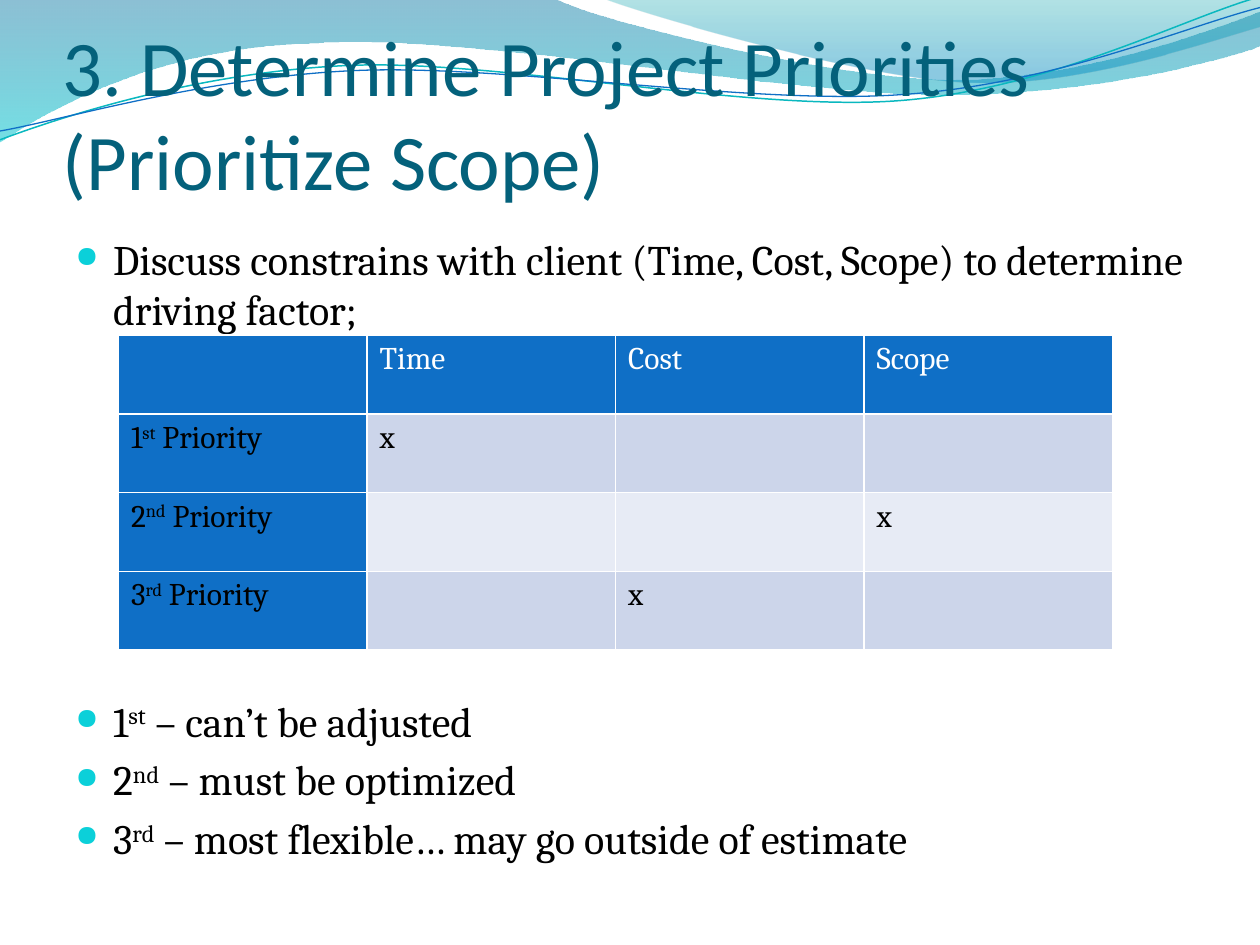
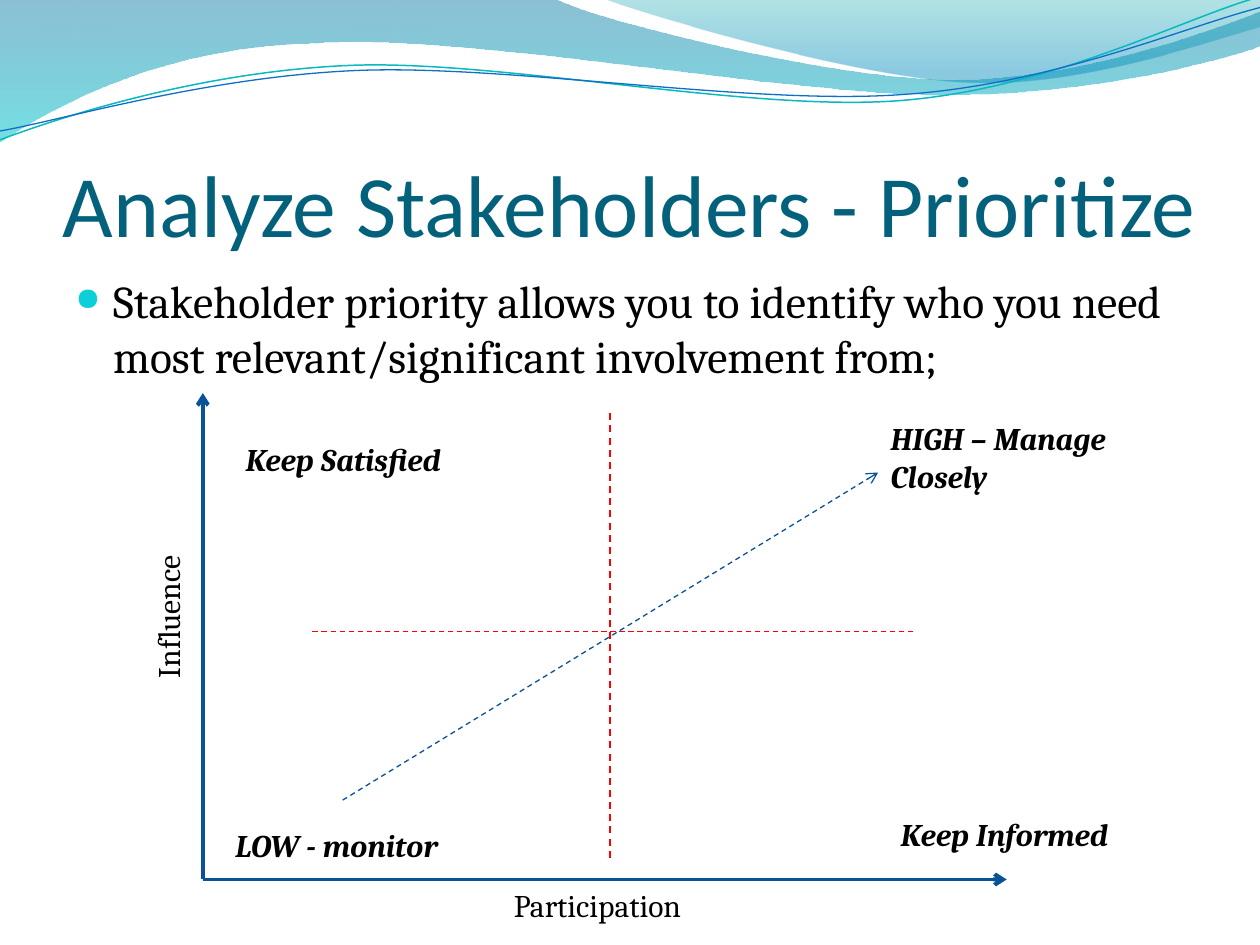
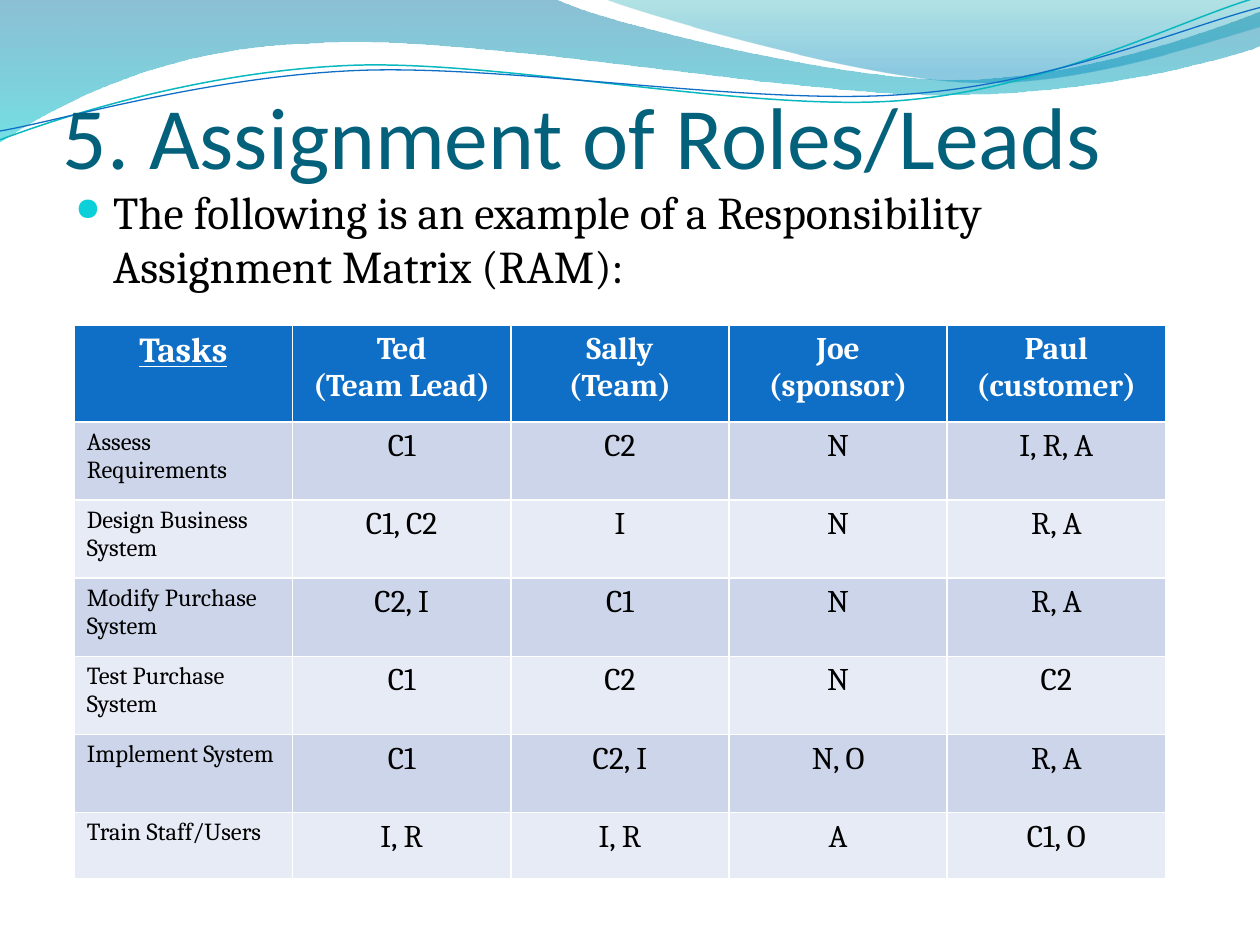
from dataclasses import dataclass
from typing import Any, NamedTuple

from lxml import etree
from pptx import Presentation
from pptx.dml.color import RGBColor
from pptx.enum.dml import MSO_LINE
from pptx.enum.shapes import MSO_CONNECTOR
from pptx.enum.text import MSO_ANCHOR, MSO_AUTO_SIZE, PP_ALIGN
from pptx.oxml.ns import qn
from pptx.util import Inches, Pt

STRAIGHT = MSO_CONNECTOR.STRAIGHT
DASH = MSO_LINE.DASH
BOTTOM = MSO_ANCHOR.BOTTOM
GROW = MSO_AUTO_SIZE.SHAPE_TO_FIT_TEXT
LEFT, CENTER = PP_ALIGN.LEFT, PP_ALIGN.CENTER
BLANK_LAYOUT = 6


# Theme
@dataclass(frozen=True)
class Theme:
    heading_font: str = "Calibri"
    body_font: str = "Cambria"
    title: str = "04617B"
    text: str = "000000"
    white: str = "FFFFFF"
    bullet: str = "0BD0D9"
    header: str = "0F6FC6"
    bands: tuple[str, str] = ("CCD5EA", "E7EBF5")
    axis: str = "095295"
    divider: str = "FF0000"
    teal_line: str = "0AB8BF"
    title_size: float = 50
    long_title_size: float = 45
    body_size: float = 26
    small_body_size: float = 24
    label_size: float = 18
    task_heading_size: float = 20
    task_size: float = 14
    bullet_percent: int = 70
    border_width: float = 1


THEME = Theme()


# Element descriptions
class Box(NamedTuple):
    left: float
    top: float
    width: float
    height: float


class Stop(NamedTuple):
    position: float
    color: str
    opacity: int


class Wave(NamedTuple):
    start: tuple[float, float]
    segments: list[tuple[float, ...]]  # two numbers: line, six: Bézier curve
    stops: tuple[Stop, ...] = ()
    line_color: str = ""
    line_width: float = 0


class Bullet(NamedTuple):
    text: str
    space_before: float = 0


class Label(NamedTuple):
    text: str
    box: Box
    emphasis: bool = False
    rotation: float = 0


class Line(NamedTuple):
    start: tuple[float, float]
    end: tuple[float, float]
    color: str
    width: float = 0.75
    dashed: bool = True
    arrow: bool = False


class CellStyle(NamedTuple):
    fill: str
    color: str = THEME.text
    size: float = THEME.label_size
    align: Any = LEFT
    bold: bool = False
    underline: bool = False


WAVES = [
    Wave((0, 0), [
        (4.4, -0.01),
        (4.76, 0.17, 6.64, 0.63, 7.58, 0.63),
        (8.53, 0.63, 9.58, 0.26, 10, 0.09),
        (10.01, 0.36),
        (9.83, 0.44, 8.7, 0.76, 7.46, 0.75),
        (6.22, 0.75, 3.82, 0.28, 2.57, 0.34),
        (1.29, 0.36, 0.46, 0.83, -0.01, 1.13),
        (0, 0),
    ], stops=(Stop(0, "0074A1", 45), Stop(1, "00C6CF", 55))),
    Wave((4.79, -0.01), [
        (5.09, 0.11, 6.82, 0.62, 7.69, 0.65),
        (8.56, 0.69, 9.61, 0.32, 10, 0.21),
        (10, 0),
        (4.79, -0.01),
    ], stops=(Stop(0, "00A1A9", 30), Stop(0.8, "008BBF", 45))),
    Wave((0, 1.11), [
        (0.48, 0.93, 1.58, 0.57, 2.77, 0.52),
        (3.95, 0.47, 5.93, 0.89, 7.13, 0.8),
        (8.33, 0.71, 9.38, 0.15, 9.98, -0.02),
    ], line_color=THEME.teal_line, line_width=0.85),
    Wave((0, 1.04), [
        (0.47, 0.96, 1.64, 0.61, 2.83, 0.56),
        (4.03, 0.51, 5.97, 0.84, 7.17, 0.75),
        (8.36, 0.67, 9.41, 0.21, 10, 0.06),
    ], line_color=THEME.header, line_width=0.75),
]


# Helpers
def set_values(target: Any, values: dict[str, Any]) -> None:
    for name, value in values.items():
        setattr(target, name, value)


def add_xml(parent: Any, tag: str, **attributes: str) -> Any:
    return etree.SubElement(parent, qn(tag), attributes)


def write(paragraph: Any, text: str, color: str, **font: Any) -> None:
    """Write text in which each part between a pair of bars is raised."""
    for index, part in enumerate(text.split("|")):
        run = paragraph.add_run()
        run.text = part
        set_values(run.font, font)
        run.font.color.rgb = RGBColor.from_string(color)
        if index % 2:
            run._r.get_or_add_rPr().set("baseline", "30000")


def add_text_box(slide: Any, box: Box, **frame_values: Any) -> Any:
    shape = slide.shapes.add_textbox(*map(Inches, box))
    set_values(shape.text_frame, {"word_wrap": True, **frame_values})
    return shape


def bend(shape: Any, segments: list[tuple[float, ...]]) -> None:
    """Turn each run of three line steps that stands for a curve into one Bézier step."""
    steps = iter(list(shape.element.iter(qn("a:lnTo"))))
    for segment in segments:
        first, *others = [next(steps) for _ in segment[::2]]
        if not others:
            continue
        curve = etree.Element(qn("a:cubicBezTo"))
        first.addprevious(curve)
        for step in (first, *others):
            curve.append(step[0])
            step.getparent().remove(step)


# Shared slide parts
def add_wave(slide: Any, wave: Wave) -> None:
    points = [
        (Inches(x), Inches(y))
        for segment in (wave.start, *wave.segments)
        for x, y in zip(segment[::2], segment[1::2])
    ]
    builder = slide.shapes.build_freeform(*points[0])
    builder.add_line_segments(points[1:], close=bool(wave.stops))
    shape = builder.convert_to_shape()
    bend(shape, wave.segments)
    shape.shadow.inherit = False
    if not wave.stops:
        shape.fill.background()
        shape.line.color.rgb = RGBColor.from_string(wave.line_color)
        shape.line.width = Pt(wave.line_width)
        return
    shape.line.fill.background()
    shape.fill.gradient()
    shape.fill.gradient_angle = 270
    for gradient_stop, stop in zip(shape.fill.gradient_stops, wave.stops):
        gradient_stop.position = stop.position
        gradient_stop.color.rgb = RGBColor.from_string(stop.color)
    for color, stop in zip(shape.element.iter(qn("a:srgbClr")), wave.stops):
        add_xml(color, "a:alpha", val=str(stop.opacity * 1000))


def add_title(slide: Any, text: str, box: Box, size: float = THEME.title_size) -> None:
    shape = add_text_box(slide, box, vertical_anchor=BOTTOM, margin_left=0,
                         margin_right=0, margin_bottom=0)
    write(shape.text_frame.paragraphs[0], text, THEME.title,
          name=THEME.heading_font, size=Pt(size))


def add_bullets(slide: Any, bullets: list[Bullet], box: Box,
                size: float = THEME.body_size) -> None:
    frame = add_text_box(slide, box).text_frame
    for index, bullet in enumerate(bullets):
        paragraph = frame.add_paragraph() if index else frame.paragraphs[0]
        properties = paragraph._p.get_or_add_pPr()
        properties.set("marL", str(Inches(0.3)))
        properties.set("indent", str(Inches(-0.3)))
        add_xml(add_xml(properties, "a:buClr"), "a:srgbClr", val=THEME.bullet)
        add_xml(properties, "a:buSzPct", val=str(THEME.bullet_percent * 1000))
        add_xml(properties, "a:buChar", char="●")
        paragraph.space_before = Pt(bullet.space_before)
        write(paragraph, bullet.text, THEME.text, name=THEME.body_font, size=Pt(size))


def add_slide(presentation: Any) -> Any:
    slide = presentation.slides.add_slide(presentation.slide_layouts[BLANK_LAYOUT])
    for wave in WAVES:
        add_wave(slide, wave)
    return slide


# Tables
def set_borders(cell: Any) -> None:
    properties = cell._tc.get_or_add_tcPr()
    for index, side in enumerate("LRTB"):
        border = etree.Element(qn(f"a:ln{side}"), w=str(Pt(THEME.border_width)))
        add_xml(add_xml(border, "a:solidFill"), "a:srgbClr", val=THEME.white)
        properties.insert(index, border)


def fill_cell(cell: Any, text: str, style: CellStyle) -> None:
    cell.fill.solid()
    cell.fill.fore_color.rgb = RGBColor.from_string(style.fill)
    if not text:
        return
    frame = cell.text_frame
    for index, line in enumerate(text.split("\n")):
        paragraph = frame.add_paragraph() if index else frame.paragraphs[0]
        paragraph.alignment = style.align
        write(paragraph, line, style.color, name=THEME.body_font, size=Pt(style.size),
              bold=style.bold, underline=style.underline)


def priority_style(row: int, column: int) -> CellStyle:
    if row == 0:
        return CellStyle(THEME.header, THEME.white)
    return CellStyle(THEME.bands[(row - 1) % 2] if column else THEME.header)


def role_style(row: int, column: int) -> CellStyle:
    if row == 0:
        size = THEME.label_size if column else THEME.task_heading_size
        return CellStyle(THEME.header, THEME.white, size, CENTER, True, column == 0)
    band = THEME.bands[(row - 1) % 2]
    return CellStyle(band, align=CENTER) if column else CellStyle(band, size=THEME.task_size)


def add_grid(slide: Any, rows: list[tuple[str, ...]], box: Box,
             heights: list[float], style_for: Any) -> None:
    column_count = len(rows[0])
    frame = slide.shapes.add_table(len(rows), column_count, *map(Inches, box))
    table = frame.table
    for column in table.columns:
        column.width = Inches(box.width / column_count)
    for row_index, (texts, height) in enumerate(zip(rows, heights)):
        table.rows[row_index].height = Inches(height)
        for column_index, text in enumerate(texts):
            cell = table.cell(row_index, column_index)
            fill_cell(cell, text, style_for(row_index, column_index))
            set_borders(cell)


# Diagram parts
def add_line(slide: Any, line: Line) -> None:
    connector = slide.shapes.add_connector(
        STRAIGHT, *map(Inches, (*line.start, *line.end)))
    connector.line.color.rgb = RGBColor.from_string(line.color)
    connector.line.width = Pt(line.width)
    if line.dashed:
        connector.line.dash_style = DASH
    properties = connector.element.find(qn("p:spPr"))
    if line.arrow:
        add_xml(properties.find(qn("a:ln")), "a:tailEnd", type="arrow")
    add_xml(properties, "a:effectLst")


def add_label(slide: Any, label: Label) -> None:
    shape = add_text_box(slide, label.box, auto_size=GROW)
    shape.rotation = label.rotation
    write(shape.text_frame.paragraphs[0], label.text, THEME.text, name=THEME.body_font,
          size=Pt(THEME.label_size), bold=label.emphasis, italic=label.emphasis)


# Slides
def build_priorities(presentation: Any) -> None:
    slide = add_slide(presentation)
    add_title(slide, "3. Determine Project Priorities (Prioritize Scope)",
              Box(0.5, 0.39, 9, 1.25), THEME.long_title_size)
    add_bullets(slide, [
        Bullet("Discuss constrains with client (Time, Cost, Scope) to determine driving factor;"),
        Bullet("1|st| – can’t be adjusted", 206.5),
        Bullet("2|nd| – must be optimized", 4.8),
        Bullet("3|rd| – most flexible… may go outside of estimate", 4.8),
    ], Box(0.5, 1.8, 9, 5.12), THEME.small_body_size)
    rows = [
        ("", "Time", "Cost", "Scope"),
        ("1|st| Priority", "x", "", ""),
        ("2|nd| Priority", "", "", "x"),
        ("3|rd| Priority", "", "x", ""),
    ]
    box = Box(0.94, 2.66, 7.89, 2.5)
    add_grid(slide, rows, box, [box.height / len(rows)] * len(rows), priority_style)


def build_stakeholders(presentation: Any) -> None:
    slide = add_slide(presentation)
    add_title(slide, "Analyze Stakeholders - Prioritize", Box(0.5, 0.77, 9, 1.25))
    add_bullets(slide, [Bullet(
        "Stakeholder priority allows you to identify who you need "
        "most relevant/significant involvement from;"
    )], Box(0.5, 2.12, 9, 4.8))
    origin = (1.61, 6.98)
    for line in (
        Line(origin, (1.61, 3.12), THEME.axis, 2.25, dashed=False, arrow=True),
        Line(origin, (7.99, 6.98), THEME.axis, 2.25, dashed=False, arrow=True),
    ):
        add_line(slide, line)
    for label in (
        Label("Influence", Box(0.66, 4.61, 1.34, 0.4), rotation=270),
        Label("Participation", Box(3.98, 6.98, 1.65, 0.4)),
        Label("LOW - monitor", Box(1.77, 6.51, 2.76, 0.4), emphasis=True),
        Label("HIGH – Manage Closely", Box(6.97, 3.28, 2.28, 0.71), emphasis=True),
    ):
        add_label(slide, label)
    for line in (
        Line((2.72, 6.35), (6.97, 3.75), THEME.axis, arrow=True),
        Line((4.84, 3.28), (4.84, 6.82), THEME.divider, 1),
        Line((2.48, 5.01), (7.28, 5.01), THEME.divider),
    ):
        add_line(slide, line)
    for label in (
        Label("Keep Informed", Box(7.05, 6.42, 2.28, 0.4), emphasis=True),
        Label("Keep Satisfied", Box(1.85, 3.44, 2.28, 0.4), emphasis=True),
    ):
        add_label(slide, label)


def build_roles(presentation: Any) -> None:
    slide = add_slide(presentation)
    add_title(slide, "5. Assignment of Roles/Leads", Box(0.5, 0.39, 9, 1.09))
    add_bullets(slide, [Bullet(
        "The following is an example of a Responsibility Assignment Matrix (RAM):"
    )], Box(0.5, 1.41, 9.07, 5.49))
    rows = [
        ("Tasks", "Ted\n(Team Lead)", "Sally\n(Team)", "Joe\n(sponsor)", "Paul (customer)"),
        ("Assess Requirements", "C1", "C2", "N", "I, R, A"),
        ("Design Business System", "C1, C2", "I", "N", "R, A"),
        ("Modify Purchase System", "C2, I", "C1", "N", "R, A"),
        ("Test Purchase System", "C1", "C2", "N", "C2"),
        ("Implement System", "C1", "C2, I", "N, O", "R, A"),
        ("Train Staff/Users", "I, R", "I, R", "A", "C1, O"),
    ]
    add_grid(slide, rows, Box(0.59, 2.58, 8.66, 4.4), [0.77, *[0.62] * 5, 0.53], role_style)


def main() -> None:
    presentation = Presentation()
    presentation.slide_width = Inches(10)
    presentation.slide_height = Inches(7.5)
    for build in (build_priorities, build_stakeholders, build_roles):
        build(presentation)
    presentation.save("out.pptx")


if __name__ == "__main__":
    main()
